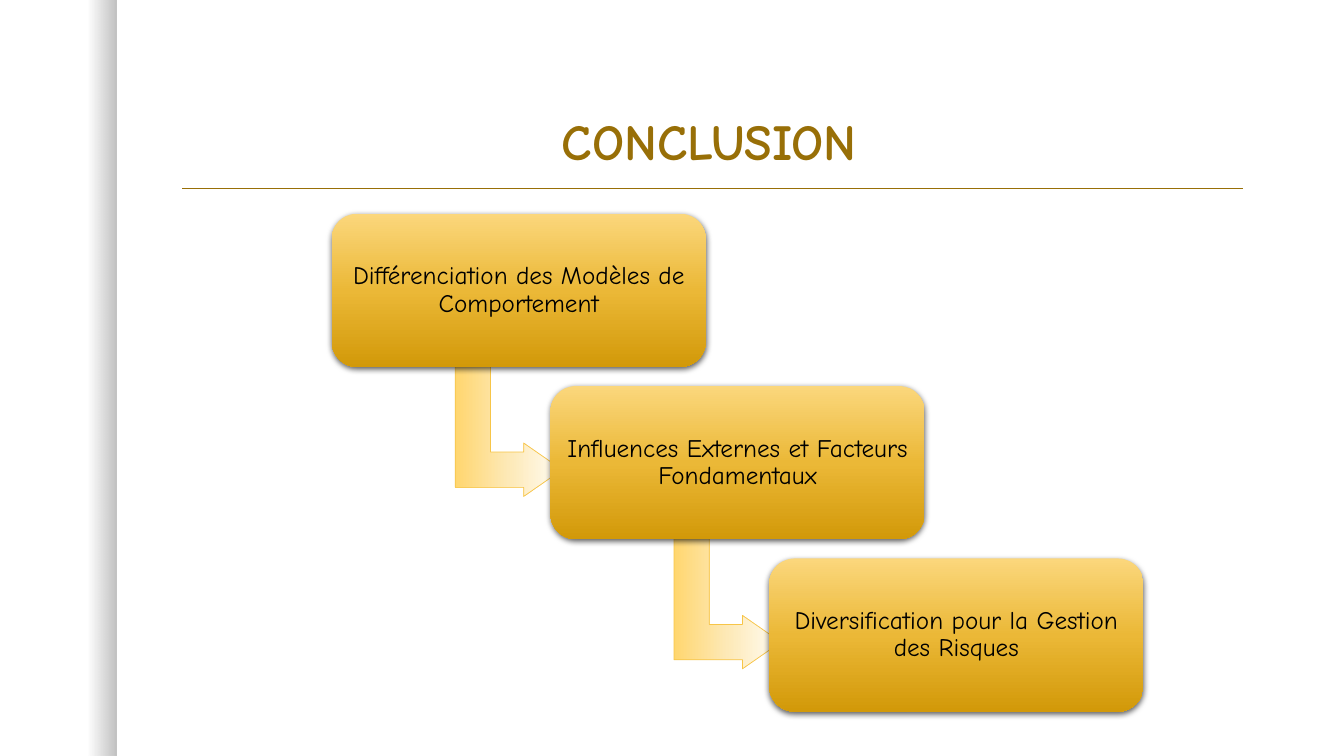
from lxml.etree import SubElement
from pptx import Presentation
from pptx.dml.color import RGBColor
from pptx.enum.shapes import MSO_CONNECTOR as Connector, MSO_SHAPE as Shape
from pptx.enum.text import MSO_ANCHOR as Anchor, MSO_AUTO_SIZE as AutoSize, PP_ALIGN as Align
from pptx.oxml.ns import qn
from pptx.util import Emu, Pt

EMU_PER_PX = 9144


def px(length):
    return Emu(length * EMU_PER_PX)


def rgb(color):
    return RGBColor.from_string(color)


def apply(target, values):
    for name, value in values.items():
        setattr(target, name, value)


class StepSlide:
    font = "Comic Neue"
    accent = "986F07"
    box_stops = [(0, "FBD77C", 100), (50, "EBB837", 100), (100, "D29909", 100)]
    arrow_stops = [(0, "FFFCF5", 100), (50, "FDE9B7", 100), (100, "FFD66F", 100)]
    band_stops = [(75, "000000", 0), (100, "000000", 25)]

    def __init__(self, presentation):
        self.slide = presentation.slides.add_slide(presentation.slide_layouts[5])

    def set_text(self, shape, text, size, color, bold, anchor, inset=None):
        frame = shape.text_frame
        apply(frame, {"text": text, "word_wrap": True, "vertical_anchor": anchor,
                      "auto_size": AutoSize.NONE})
        if inset is not None:
            for side in ("left", "top", "right", "bottom"):
                setattr(frame, f"margin_{side}", px(inset))
        paragraph = frame.paragraphs[0]
        apply(paragraph, {"alignment": Align.CENTER, "line_spacing": 0.9})
        font = paragraph.runs[0].font
        apply(font, {"name": self.font, "size": Pt(size), "bold": bold})
        font.color.rgb = rgb(color)

    def title(self, text, left, top, width, height):
        shape = self.slide.shapes.title
        apply(shape, {"left": px(left), "top": px(top),
                      "width": px(width), "height": px(height)})
        self.set_text(shape, text, 36, self.accent, True, Anchor.BOTTOM)

    def gradient_shape(self, kind, bounds, stops, angle):
        shape = self.slide.shapes.add_shape(kind, *map(px, bounds))
        shape.shadow.inherit = False
        shape.line.fill.background()
        shape.fill.gradient()
        shape.fill.gradient_angle = angle
        stop_list = shape._element.spPr.find(qn("a:gradFill")).find(qn("a:gsLst"))
        for stop in list(stop_list):
            stop_list.remove(stop)
        for position, color, opacity in stops:
            stop = SubElement(stop_list, qn("a:gs"), pos=str(position * 1000))
            self.add_color(stop, color, opacity)
        return shape

    def add_color(self, parent, color, opacity):
        element = SubElement(parent, qn("a:srgbClr"), val=color)
        if opacity < 100:
            SubElement(element, qn("a:alpha"), val=str(opacity * 1000))

    def band(self, left, top, width, height):
        self.gradient_shape(Shape.RECTANGLE, (left, top, width, height), self.band_stops, 0)

    def rule(self, left, right, top):
        line = self.slide.shapes.add_connector(
            Connector.STRAIGHT, px(left), px(top), px(right), px(top))
        line.line.color.rgb = rgb(self.accent)
        line.line.width = Pt(1)
        SubElement(line._element.spPr, qn("a:effectLst"))

    def arrow(self, left, top, width, height):
        shape = self.gradient_shape(
            Shape.BENT_UP_ARROW, (left, top, width, height), self.arrow_stops, 270)
        shape.rotation = 90
        for index, value in enumerate((0.33, 0.25, 0.36)):
            shape.adjustments[index] = value
        shape.line.color.rgb = rgb("F7C547")
        shape.line.width = Pt(0.5)

    def box(self, text, left, top, width, height):
        shape = self.gradient_shape(
            Shape.ROUNDED_RECTANGLE, (left, top, width, height), self.box_stops, 270)
        effects = shape._element.spPr.find(qn("a:effectLst"))
        shadow = SubElement(effects, qn("a:outerShdw"), blurRad=str(int(Pt(4.5))),
                            dist=str(int(Pt(1.5))), dir="5400000", rotWithShape="0")
        self.add_color(shadow, "000000", 63)
        self.set_text(shape, text, 18, "000000", False, Anchor.MIDDLE, 7)


def main():
    presentation = Presentation()
    apply(presentation, {"slide_width": px(1333), "slide_height": px(750)})
    page = StepSlide(presentation)
    page.band(0, 0, 116, 750)
    page.rule(181, 1233, 187)
    page.title("CONCLUSION", 166, 42, 1075, 133)

    steps = [
        "Différenciation des Modèles de Comportement",
        "Influences Externes et Facteurs Fondamentaux",
        "Diversification pour la Gestion des Risques",
    ]
    for index, text in enumerate(steps):
        left, top = 329 + 217 * index, 212 + 171 * index
        if index < len(steps) - 1:
            page.arrow(left + 111, top + 163, 129, 106)
        page.box(text, left, top, 371, 152)

    presentation.save("out.pptx")


if __name__ == "__main__":
    main()
